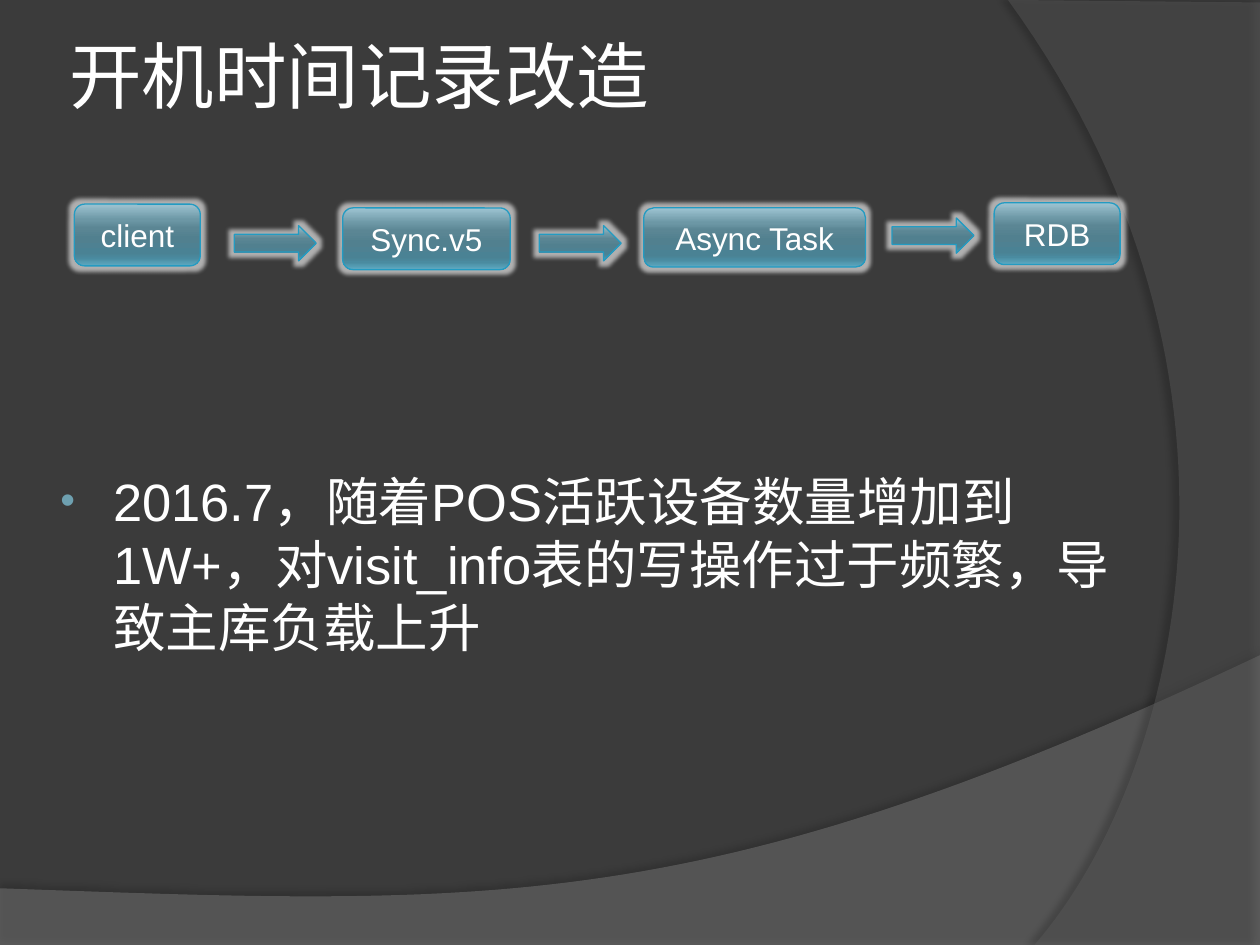
from dataclasses import dataclass

from lxml import etree
from pptx import Presentation, util as u
from pptx.dml.color import RGBColor
from pptx.enum import shapes, text
from pptx.oxml.ns import qn

BACKGROUND = RGBColor(0x3B, 0x3B, 0x3B)
WHITE = RGBColor(0xFF, 0xFF, 0xFF)
BLACK = RGBColor(0x00, 0x00, 0x00)
EDGE = RGBColor(0x23, 0x9B, 0xC2)
BULLET = RGBColor(0x6E, 0xA0, 0xB0)
WAVE = RGBColor(0x7F, 0x7F, 0x7F)
ARC = RGBColor(0x5E, 0x5E, 0x5E)
GLOSS = [
    (0, RGBColor(0x9E, 0xC4, 0xD2)),
    (25, RGBColor(0x6C, 0x97, 0xA5)),
    (38, RGBColor(0x5B, 0x86, 0x94)),
    (55, RGBColor(0x51, 0x80, 0x8F)),
    (80, RGBColor(0x4A, 0x82, 0x94)),
    (88, RGBColor(0x4A, 0x8B, 0xA0)),
    (100, RGBColor(0x5D, 0xAA, 0xC2)),
]
Point = tuple[float, float]


@dataclass
class Step:
    label: str
    left: float
    top: float
    width: float
    height: float = 0.49


@dataclass
class Arrow:
    left: float
    top: float


@dataclass
class Swoosh:
    points: list[Point]
    color: RGBColor
    alpha: int
    shadow_alpha: int
    distance: float
    angle: int


STEPS = [
    Step("client", 0.59, 1.62, 1),
    Step("Sync.v5", 2.72, 1.65, 1.33),
    Step("Async Task", 5.11, 1.65, 1.76, 0.47),
    Step("RDB", 7.89, 1.61, 1),
]
ARROWS = [Arrow(1.86, 1.79), Arrow(4.28, 1.79), Arrow(7.08, 1.73)]


def curve(a: Point, b: Point, c: Point, d: Point, n: int = 60) -> list[Point]:
    def at(t: float, i: int) -> float:
        v = 1 - t
        return v**3 * a[i] + 3 * v * v * t * b[i] + 3 * v * t * t * c[i] + t**3 * d[i]

    return [(at(k / n, 0), at(k / n, 1)) for k in range(n + 1)]


def add_color(parent, color: RGBColor, alpha: int = 100) -> None:
    clr = etree.SubElement(parent, qn("a:srgbClr"), val=str(color))
    if alpha < 100:
        etree.SubElement(clr, qn("a:alpha"), val=str(alpha * 1000))


def add_effect(sp, tag: str, color: RGBColor, alpha: int, **attrs: str) -> None:
    sp.shadow.inherit = False
    effects = sp._element.spPr.find(qn("a:effectLst"))
    add_color(etree.SubElement(effects, qn(tag), **attrs), color, alpha)


def add_swoosh(s, w: Swoosh) -> None:
    pts = [(u.Inches(x), u.Inches(y)) for x, y in w.points]
    builder = s.shapes.build_freeform(*pts[0])
    builder.add_line_segments(pts[1:], close=True)
    sp = builder.convert_to_shape()
    sp.fill.solid()
    sp.fill.fore_color.rgb = w.color
    clr = sp._element.spPr.find(qn("a:solidFill"))[0]
    etree.SubElement(clr, qn("a:alpha"), val=str(w.alpha * 1000))
    sp.line.fill.background()
    add_effect(sp, "a:outerShdw", BLACK, w.shadow_alpha,
               blurRad=str(u.Pt(4)), dist=str(u.Pt(w.distance)),
               dir=str(w.angle * 60000), algn="ctr", rotWithShape="0")


def add_glossy(s, kind, left: float, top: float, width: float, height: float):
    sp = s.shapes.add_shape(kind, u.Inches(left), u.Inches(top),
                            u.Inches(width), u.Inches(height))
    sp.fill.gradient()
    sp.fill.gradient_angle = 270
    stops = sp._element.spPr.find(qn("a:gradFill")).find(qn("a:gsLst"))
    for old in list(stops):
        stops.remove(old)
    for pos, color in GLOSS:
        add_color(etree.SubElement(stops, qn("a:gs"), pos=str(pos * 1000)), color)
    sp.line.color.rgb = EDGE
    sp.line.width = u.Pt(0.75)
    add_effect(sp, "a:glow", WHITE, 60, rad=str(u.Pt(5)))
    return sp


def add_run(p, content: str, size: float, font: str) -> None:
    r = p.add_run()
    r.text = content
    r.font.size = u.Pt(size)
    r.font.name = font
    r.font.color.rgb = WHITE


def add_step(s, step: Step) -> None:
    sp = add_glossy(s, shapes.MSO_SHAPE.ROUNDED_RECTANGLE,
                    step.left, step.top, step.width, step.height)
    tf = sp.text_frame
    tf.vertical_anchor = text.MSO_ANCHOR.MIDDLE
    p = tf.paragraphs[0]
    p.alignment = text.PP_ALIGN.CENTER
    add_run(p, step.label, 18, "Arial")


def add_text(s, left: float, top: float, width: float, height: float):
    box = s.shapes.add_textbox(u.Inches(left), u.Inches(top),
                               u.Inches(width), u.Inches(height))
    tf = box.text_frame
    tf.word_wrap = True
    return tf


def add_bullet(p) -> None:
    pPr = p._p.get_or_add_pPr()
    pPr.set("marL", str(u.Inches(0.46)))
    pPr.set("indent", str(u.Inches(-0.42)))
    add_color(etree.SubElement(pPr, qn("a:buClr")), BULLET)
    etree.SubElement(pPr, qn("a:buSzPct"), val="80000")
    etree.SubElement(pPr, qn("a:buFont"), typeface="Arial")
    etree.SubElement(pPr, qn("a:buChar"), char="•")


def main() -> None:
    prs = Presentation()
    prs.slide_width, prs.slide_height = u.Inches(10), u.Inches(7.5)
    s = prs.slides.add_slide(prs.slide_layouts[6])
    s.background.fill.solid()
    s.background.fill.fore_color.rgb = BACKGROUND

    wave = curve((10, 5.2), (5.59, 7.29), (3.91, 7.19), (0, 7.05))
    arc = curve((8.21, 7.5), (9.35, 6.19), (10.18, 3), (8, 0))
    add_swoosh(s, Swoosh([(0, 7.51), (10, 7.51)] + wave, WAVE, 45, 35, 3.5, 270))
    add_swoosh(s, Swoosh([(10, 0.02), (10, 7.5)] + arc, ARC, 40, 45, 4, 180))

    tf = add_text(s, 0.5, 0.21, 8.17, 0.76)
    tf.margin_left = tf.margin_right = u.Inches(0.05)
    tf.margin_top = tf.margin_bottom = u.Inches(0.05)
    tf.vertical_anchor = text.MSO_ANCHOR.MIDDLE
    add_run(tf.paragraphs[0], "开机时间记录改造", 41.4, "Karla")

    for step in STEPS:
        add_step(s, step)
    for arrow in ARROWS:
        add_glossy(s, shapes.MSO_SHAPE.RIGHT_ARROW, arrow.left, arrow.top, 0.65, 0.28)

    p = add_text(s, 0.34, 3.67, 8.59, 2.78).paragraphs[0]
    add_bullet(p)
    add_run(p, "2016.7，随着POS活跃设备数量增加到1W+，对visit_info表的写操作过于频繁，导致主库负载上升",
            30, "Arial")

    prs.save("out.pptx")


if __name__ == "__main__":
    main()
